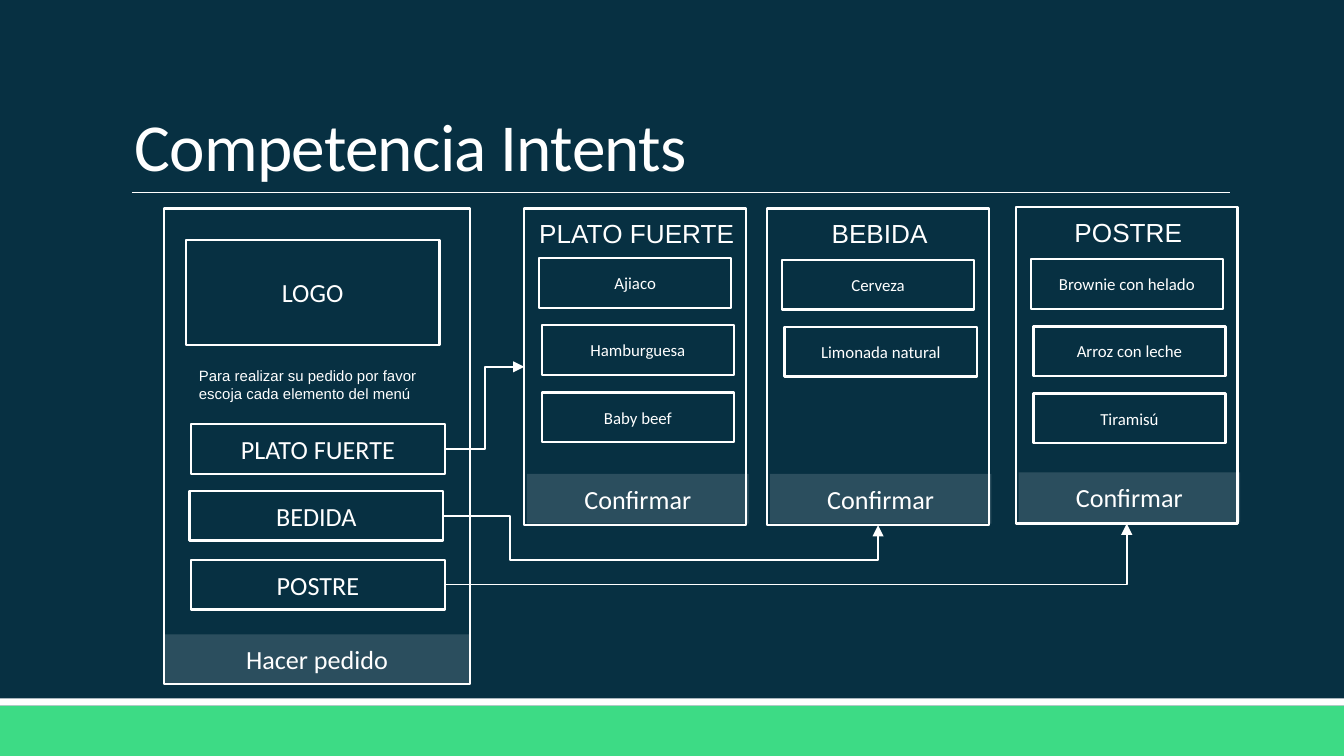
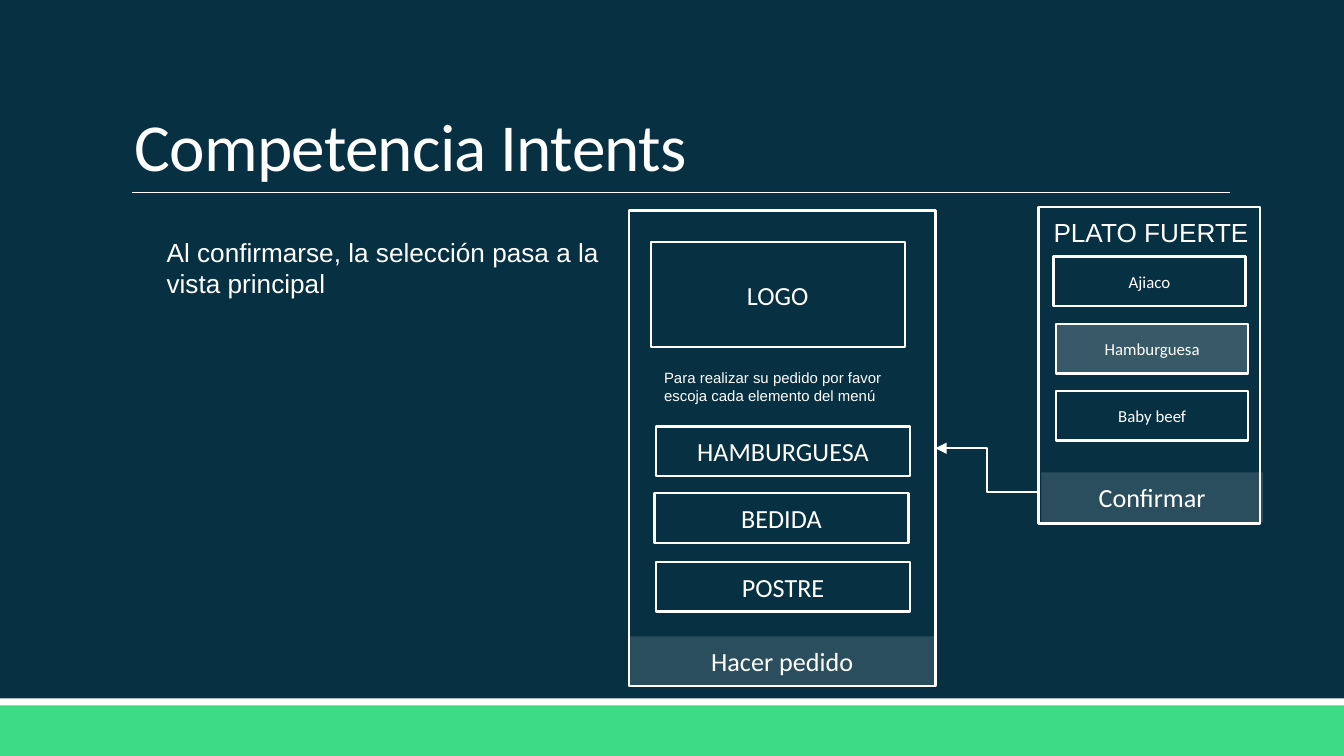
from pptx import Presentation, util as u
from pptx.dml import color
from pptx.enum import shapes, text
from pptx.oxml import ns
from lxml import etree

HUES = {"navy": "073042", "green": "3DDB85", "white": "FFFFFF"}
BAR = 0.94
MENU = (5.79, 8.99)
CARD = (4.19, 5.99)
MAIN = ["Ajiaco", "Hamburguesa", "Baby beef"]


def hue(name):
    return color.RGBColor.from_string(HUES[name])


def sub(node, tag, **attrs):
    return etree.SubElement(node, ns.qn(tag), **attrs)


def write(shape, words, size, font="Calibri", align=text.PP_ALIGN.CENTER):
    frame = shape.text_frame
    frame.text = words
    para = frame.paragraphs[0]
    para.alignment = align
    face = para.runs[0].font
    face.name, face.size = font, u.Pt(size)
    face.color.rgb = hue("white")
    return para


def rect(page, x, y, w, h, fill=None, alpha=100, edge=True):
    shape = page.shapes.add_shape(
        shapes.MSO_SHAPE.RECTANGLE, u.Cm(x), u.Cm(y), u.Cm(w), u.Cm(h))
    shape.shadow.inherit = False
    if fill:
        shape.fill.solid()
        shape.fill.fore_color.rgb = hue(fill)
        if alpha < 100:
            tint = shape.element.spPr.find(".//" + ns.qn("a:srgbClr"))
            sub(tint, "a:alpha", val=str(alpha * 1000))
    else:
        shape.fill.background()
    if edge:
        shape.line.color.rgb = hue("white")
        shape.line.width = u.Pt(1.25)
    else:
        shape.line.fill.background()
    return shape


def label(page, x, y, w, h, words, size, align=text.PP_ALIGN.LEFT, wrap=True):
    box = page.shapes.add_textbox(u.Cm(x), u.Cm(y), u.Cm(w), u.Cm(h))
    box.text_frame.word_wrap = wrap
    box.text_frame.auto_size = text.MSO_AUTO_SIZE.SHAPE_TO_FIT_TEXT
    write(box, words, size, "Arial", align)


def button(page, x, y, w, words, size, **style):
    shape = rect(page, x, y, w, BAR, **style)
    shape.text_frame.vertical_anchor = text.MSO_ANCHOR.MIDDLE
    write(shape, words, size)
    return shape


def wire(page, kind, start, end, width):
    line = page.shapes.add_connector(kind, *start, *end)
    line.line.color.rgb = hue("white")
    line.line.width = u.Pt(width)
    sub(line.element.spPr, "a:effectLst")
    return line


def arrow(page, start, end, bends=3, lane=None):
    line = wire(page, shapes.MSO_CONNECTOR.ELBOW, start, end, 1)
    props = line.element.spPr
    sub(props.find(ns.qn("a:ln")), "a:tailEnd", type="triangle")
    form = props.find(ns.qn("a:prstGeom"))
    form.set("prst", f"bentConnector{bends}")
    if lane:
        guides = form.find(ns.qn("a:avLst"))
        for i, (a, b, via) in enumerate(zip(start, end, lane), 1):
            ratio = round((via - a) / (b - a) * 100000)
            sub(guides, "a:gd", name=f"adj{i}", fmla=f"val {ratio}")


def side(shape, dx, dy):
    return (int(shape.left + shape.width * dx),
            int(shape.top + shape.height * dy))


def decor(page, layout):
    parts = [
        rect(page, 0, 13.34, 25.4, 0.95, fill="green", edge=False),
        rect(page, 0, 13.2, 25.4, 0.14, fill="white", edge=False),
        wire(page, shapes.MSO_CONNECTOR.STRAIGHT,
             (u.Cm(2.49), u.Cm(3.63)), (u.Cm(23.24), u.Cm(3.63)), 0.5),
    ]
    for i, part in enumerate(parts, 20):
        part.element.find(".//" + ns.qn("p:cNvPr")).set("id", str(i))
        layout.shapes.element.append(part.element) if hasattr(
            layout.shapes, "element") else layout.element.cSld.spTree.append(part.element)


def head(page, words):
    title = page.shapes.title
    title.left, title.top = u.Cm(2.29), u.Cm(0.61)
    title.width, title.height = u.Cm(20.96), u.Cm(3.02)
    para = write(title, words, 36, align=text.PP_ALIGN.LEFT)
    para.line_spacing = 0.85
    para.runs[0].font._element.set("spc", "-40")
    title.text_frame.vertical_anchor = text.MSO_ANCHOR.BOTTOM
    title.text_frame.auto_size = text.MSO_AUTO_SIZE.NONE


def menu(page, x, y, first):
    w, h = MENU
    frame = rect(page, x, y, w, h)
    logo = rect(page, x + 0.41, y + 0.6, 4.8, 1.98)
    logo.text_frame.vertical_anchor = text.MSO_ANCHOR.MIDDLE
    write(logo, "LOGO", 14)
    label(page, x + 0.41, y + 2.87, 4.8, BAR,
          "Para realizar su pedido por favor escoja cada elemento del menú", 8)
    spots = [(0.51, 4.08), (0.48, 5.34), (0.51, 6.64)]
    keys = [button(page, x + dx, y + dy, 4.8, words, 14)
            for (dx, dy), words in zip(spots, [first, "BEDIDA", "POSTRE"])]
    button(page, x, y + h - BAR, w, "Hacer pedido", 14,
           fill="white", alpha=15, edge=False)
    return frame, keys


def card(page, x, y, name, wide, items, drop=0.94, chosen=None):
    w, h = CARD
    frame = rect(page, x, y, w, h)
    for i, item in enumerate(items):
        style = {"fill": "white", "alpha": 20} if item == chosen else {}
        button(page, x + (0.33 if i else 0.28), y + drop + 1.27 * i, 3.63,
               item, 9, **style)
    label(page, x + (w - wide) / 2 + 0.03, y + 0.05, wide, 0.86, name, 14,
          text.PP_ALIGN.CENTER, False)
    button(page, x + 0.05, y + 5.02, w, "Confirmar", 14,
           fill="white", alpha=15, edge=False)
    return frame


def order(page):
    _, keys = menu(page, 3.1, 3.94, "PLATO FUERTE")
    main = card(page, 9.91, 3.94, "PLATO FUERTE", 4.29, MAIN)
    drink = card(page, 14.5, 3.94, "BEBIDA", 2.34,
                 ["Cerveza", "Limonada natural"], 0.97)
    sweet = card(page, 19.2, 3.91, "POSTRE", 2.57,
                 ["Brownie con helado", "Arroz con leche", "Tiramisú"], 0.99)
    outs = [side(key, 1, 0.5) for key in keys]
    arrow(page, outs[0], side(main, 0, 0.5))
    arrow(page, outs[1], side(drink, 0.5, 1), 4, (u.Cm(9.64), u.Cm(10.58)))
    arrow(page, outs[2], side(sweet, 0.5, 1), 2)


def choice(page):
    frame, _ = menu(page, 11.89, 3.98, "HAMBURGUESA")
    label(page, 2.9, 4.34, 8.79, 1.45,
          "Al confirmarse, la selección pasa a la vista principal", 14)
    main = card(page, 19.63, 3.91, "PLATO FUERTE", 4.29, MAIN,
                chosen="Hamburguesa")
    arrow(page, side(main, 0, 0.9), side(frame, 1, 0.5))


def build():
    deck = Presentation()
    deck.slide_width, deck.slide_height = u.Cm(25.4), u.Cm(14.29)
    back = deck.slide_master.background.fill
    back.solid()
    back.fore_color.rgb = hue("navy")
    layout = deck.slide_layouts[5]
    for i, draw in enumerate([order, choice]):
        page = deck.slides.add_slide(layout)
        if i == 0:
            decor(page, layout)
        head(page, "Competencia Intents")
        draw(page)
    deck.save("out.pptx")


if __name__ == "__main__":
    build()
